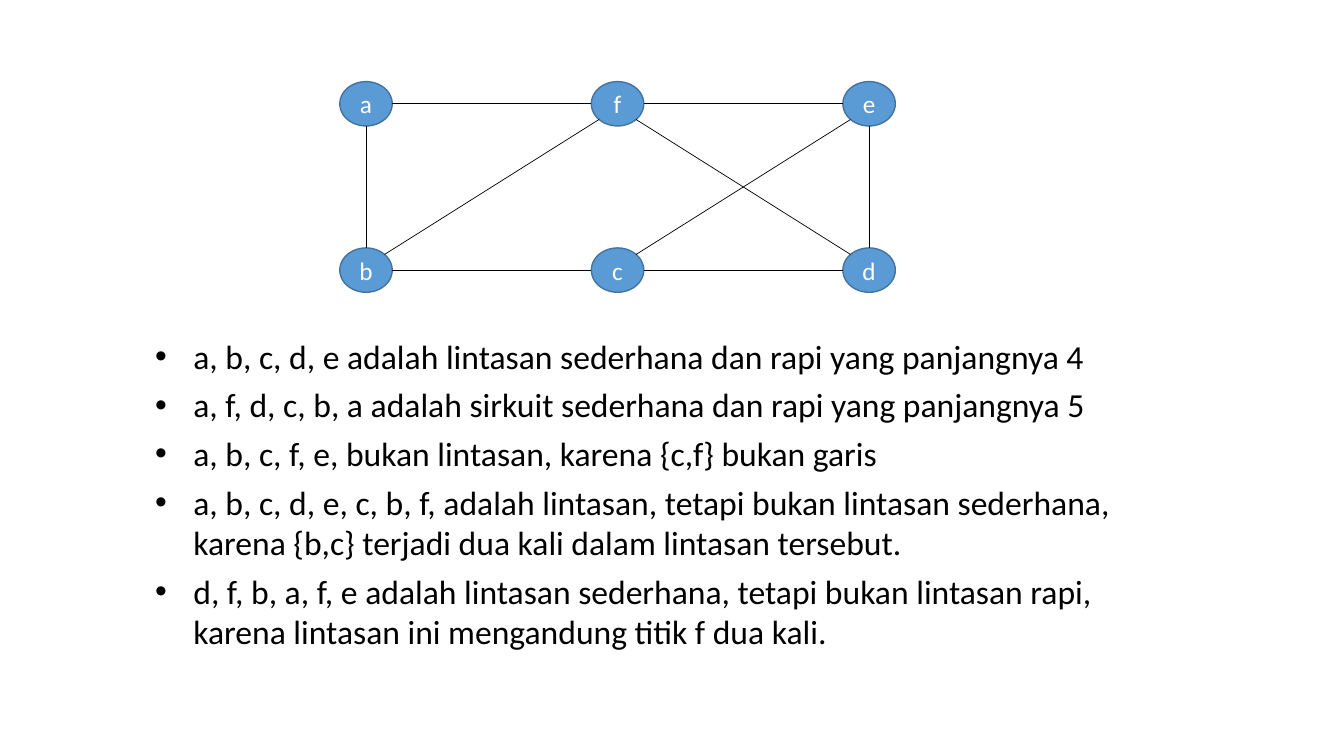
"""Build a slide with a six-node graph and notes on its paths."""
from math import sqrt

from lxml.etree import SubElement
from pptx import Presentation
from pptx.dml.color import RGBColor as RGB
from pptx.enum.shapes import MSO_CONNECTOR as CXN, MSO_SHAPE as SHAPE
from pptx.enum.text import MSO_ANCHOR as ANCHOR, MSO_AUTO_SIZE as AUTO, PP_ALIGN as ALIGN
from pptx.oxml.ns import qn
from pptx.util import Inches, Pt

COLORS = {"node": "5B9BD5", "rim": "43739E", "edge": "000000",
          "label": "FFFFFF", "text": "000000"}
WIDE, HIGH = 0.52, 0.44
LEFT, TOP, STEP, DROP = 3.37, 0.81, 2.495, 1.65
GRID = ["afe", "bcd"]
EDGES = ["ab", "bc", "cd", "af", "fe", "ed", "fd", "ec", "fb"]
NOTES = [
    "a, b, c, d, e adalah lintasan sederhana dan rapi yang panjangnya 4",
    "a, f, d, c, b, a adalah sirkuit sederhana dan rapi yang panjangnya 5",
    "a, b, c, f, e, bukan lintasan, karena {c,f} bukan garis",
    "a, b, c, d, e, c, b, f, adalah lintasan, tetapi bukan lintasan sederhana, "
    "karena {b,c} terjadi dua kali dalam lintasan tersebut.",
    "d, f, b, a, f, e adalah lintasan sederhana, tetapi bukan lintasan rapi, "
    "karena lintasan ini mengandung titik f dua kali.",
]


def color(name):
    return RGB.from_string(COLORS[name])


def put(item, **values):
    for key, value in values.items():
        setattr(item, key, value)


def write(para, text, size, tint):
    run = para.add_run()
    run.text = text
    put(run.font, name="Calibri", size=Pt(size))
    run.font.color.rgb = color(tint)


def add_node(slide, name, col, row):
    node = slide.shapes.add_shape(
        SHAPE.OVAL, Inches(LEFT + col * STEP), Inches(TOP + row * DROP),
        Inches(WIDE), Inches(HIGH))
    node.shadow.inherit = False
    node.fill.solid()
    node.fill.fore_color.rgb = color("node")
    node.line.color.rgb = color("rim")
    node.line.width = Pt(1)
    frame = node.text_frame
    put(frame, vertical_anchor=ANCHOR.MIDDLE, margin_left=0, margin_right=0,
        margin_top=0, margin_bottom=0)
    para = frame.paragraphs[0]
    para.alignment = ALIGN.CENTER
    write(para, name, 18, "label")


def rim_point(col, row, right, down):
    scale = sqrt(0.5) if right and down else 1
    return (Inches(LEFT + col * STEP + WIDE / 2 * (1 + right * scale)),
            Inches(TOP + row * DROP + HIGH / 2 * (1 + down * scale)))


def add_edge(slide, start, end):
    right, down = ((b > a) - (b < a) for a, b in zip(start, end))
    edge = slide.shapes.add_connector(
        CXN.STRAIGHT, *rim_point(*start, right, down),
        *rim_point(*end, -right, -down))
    edge.line.color.rgb = color("edge")
    edge.line.width = Pt(0.5)
    SubElement(edge._element.spPr, qn("a:effectLst"))


def add_notes(slide, notes):
    box = slide.shapes.add_textbox(
        Inches(1.44), Inches(3.28), Inches(10.33), Inches(3.26))
    frame = box.text_frame
    put(frame, word_wrap=True, auto_size=AUTO.SHAPE_TO_FIT_TEXT)
    for index, note in enumerate(notes):
        para = frame.add_paragraph() if index else frame.paragraphs[0]
        para.space_before = Pt(6)
        props = para._p.get_or_add_pPr()
        props.set("marL", str(Inches(0.38)))
        props.set("indent", str(Inches(-0.38)))
        SubElement(props, qn("a:buFont"), typeface="Arial")
        SubElement(props, qn("a:buChar"), char="•")
        write(para, note, 24, "text")


def main():
    deck = Presentation()
    put(deck, slide_width=Inches(13.33), slide_height=Inches(7.5))
    slide = deck.slides.add_slide(deck.slide_layouts[6])
    spots = {name: (col, row) for row, names in enumerate(GRID)
             for col, name in enumerate(names)}
    for name, spot in spots.items():
        add_node(slide, name, *spot)
    for start, end in EDGES:
        add_edge(slide, spots[start], spots[end])
    add_notes(slide, NOTES)
    deck.save("out.pptx")


if __name__ == "__main__":
    main()
